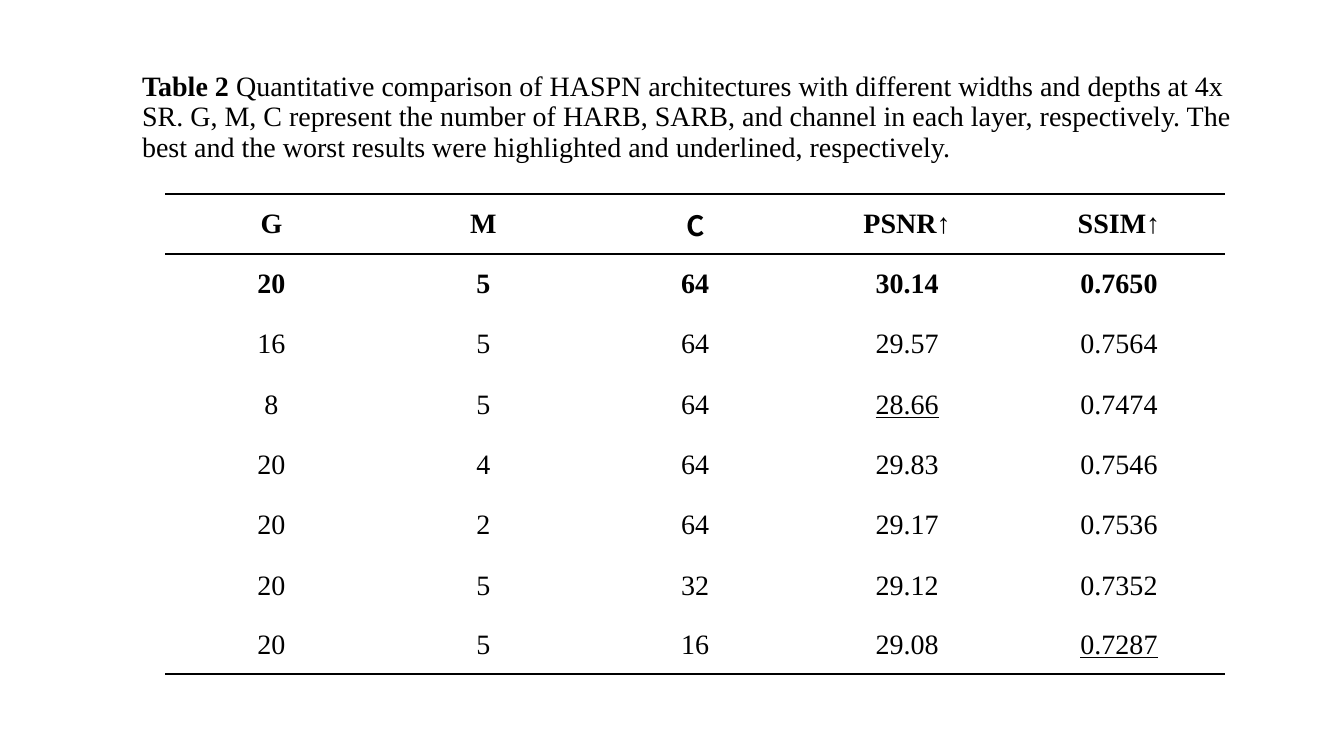
from lxml.etree import SubElement
from pptx import Presentation
from pptx.dml.color import RGBColor as RGB
from pptx.enum.text import MSO_ANCHOR as Anchor, PP_ALIGN as Align
from pptx.oxml.ns import qn
from pptx.util import Cm, Pt

CAPTION = [
    ("Table 2 ", True),
    ("Quantitative comparison of HASPN architectures with different widths and "
     "depths at 4x SR. G, M, C represent the number of HARB, SARB, and channel in "
     "each layer, respectively. The best and the worst results were highlighted "
     "and underlined, respectively.", False),
]
HEADER = ("G", "M", "C", "PSNR↑", "SSIM↑")
RESULTS = [
    ("20", "5", "64", "30.14", "0.7650"),
    ("16", "5", "64", "29.57", "0.7564"),
    ("8", "5", "64", "28.66", "0.7474"),
    ("20", "4", "64", "29.83", "0.7546"),
    ("20", "2", "64", "29.17", "0.7536"),
    ("20", "5", "32", "29.12", "0.7352"),
    ("20", "5", "16", "29.08", "0.7287"),
]
WORST = ("28.66", "0.7287")
COLORS = {"ink": "000000", "paper": "FFFFFF"}
SERIF, SANS = "Times New Roman", "Noto Sans CJK SC"
COLUMN_WIDTH, ROW_HEIGHT, LAST_HEIGHT = Cm(5.34), Cm(1.52), Cm(1.46)
CAPTION_FORMAT = {"word_wrap": True, "vertical_anchor": Anchor.MIDDLE}
CELL_FORMAT = {"vertical_anchor": Anchor.MIDDLE, "margin_left": Cm(0.18),
               "margin_right": Cm(0.18), "margin_top": 0, "margin_bottom": 0}


def apply(target, values):
    for key, value in values.items():
        setattr(target, key, value)


def write(paragraph, text, **font_format):
    run = paragraph.add_run()
    run.text = text
    apply(run.font, {"name": SERIF, "size": Pt(20), **font_format})
    run.font.color.rgb = RGB.from_string(COLORS["ink"])


def rule(cell, ruled_sides):
    properties = cell._tc.get_or_add_tcPr()
    for position, side in enumerate("LRTB"):
        line = SubElement(properties, qn(f"a:ln{side}"), w=str(Pt(1.5)))
        if side in ruled_sides:
            ink = SubElement(line, qn("a:solidFill"))
            SubElement(ink, qn("a:srgbClr"), val=COLORS["ink"])
        else:
            SubElement(line, qn("a:noFill"))
        properties.insert(position, line)


def add_caption(slide):
    caption = slide.shapes.add_textbox(Cm(3.33), Cm(1.22), Cm(28.37), Cm(3.5)).text_frame
    apply(caption, CAPTION_FORMAT)
    sentence = caption.paragraphs[0]
    sentence.line_spacing = 0.9
    for text, bold in CAPTION:
        write(sentence, text, bold=bold)


def add_results(slide):
    rows = [HEADER, *RESULTS]
    last = len(rows) - 1
    height = ROW_HEIGHT * last + LAST_HEIGHT
    table = slide.shapes.add_table(len(rows), len(HEADER), Cm(4.17), Cm(4.88),
                                   COLUMN_WIDTH * len(HEADER), height).table
    apply(table, {"first_row": False, "horz_banding": False})
    for column in table.columns:
        column.width = COLUMN_WIDTH
    ruled_sides = {0: "TB", 1: "T", last: "B"}
    for r, values in enumerate(rows):
        table.rows[r].height = LAST_HEIGHT if r == last else ROW_HEIGHT
        for c, value in enumerate(values):
            cell = table.cell(r, c)
            apply(cell, CELL_FORMAT)
            cell.fill.solid()
            cell.fill.fore_color.rgb = RGB.from_string(COLORS["paper"])
            rule(cell, ruled_sides.get(r, ""))
            entry = cell.text_frame.paragraphs[0]
            entry.alignment = Align.CENTER
            write(entry, value, bold=r < 2, underline=value in WORST,
                  name=SANS if value == "C" else SERIF)


def main():
    """Build the slide comparing HASPN architectures."""
    deck = Presentation()
    apply(deck, {"slide_width": Cm(33.87), "slide_height": Cm(19.05)})
    slide = deck.slides.add_slide(deck.slide_layouts[6])
    add_caption(slide)
    add_results(slide)
    deck.save("out.pptx")


if __name__ == "__main__":
    main()
